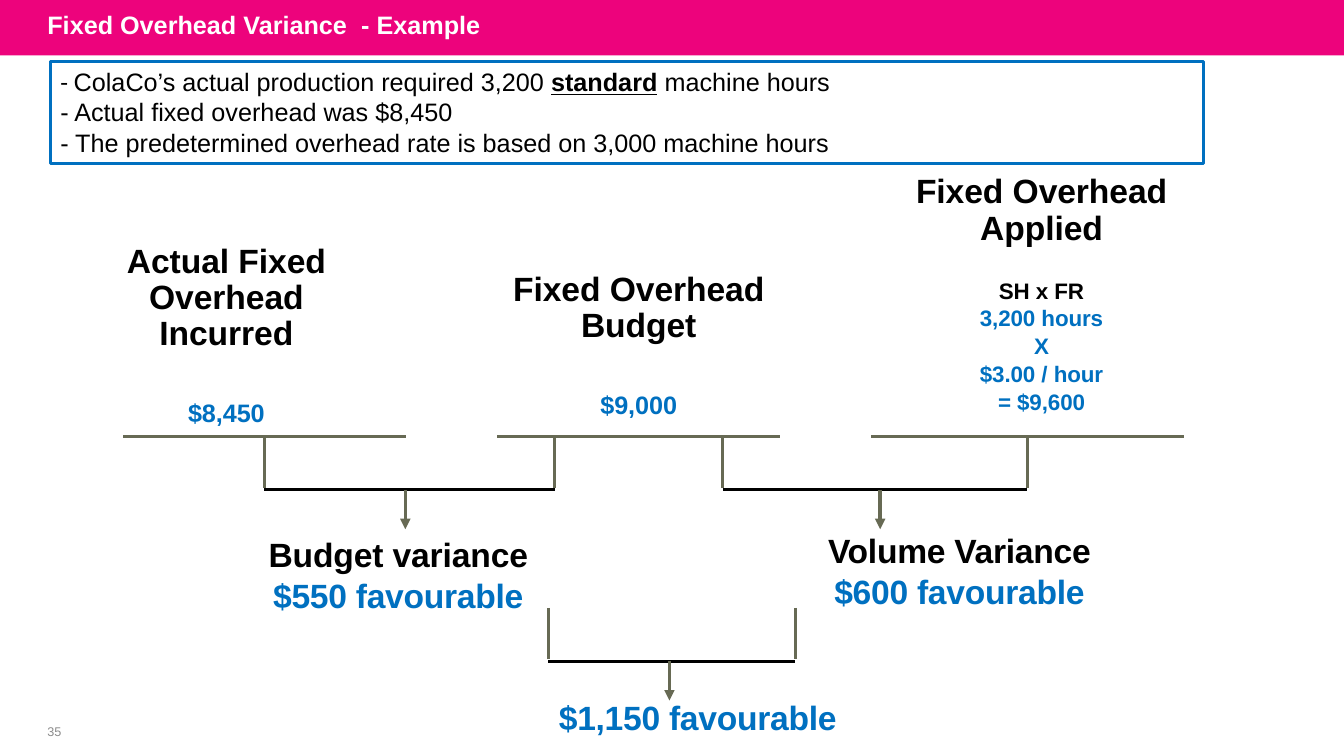
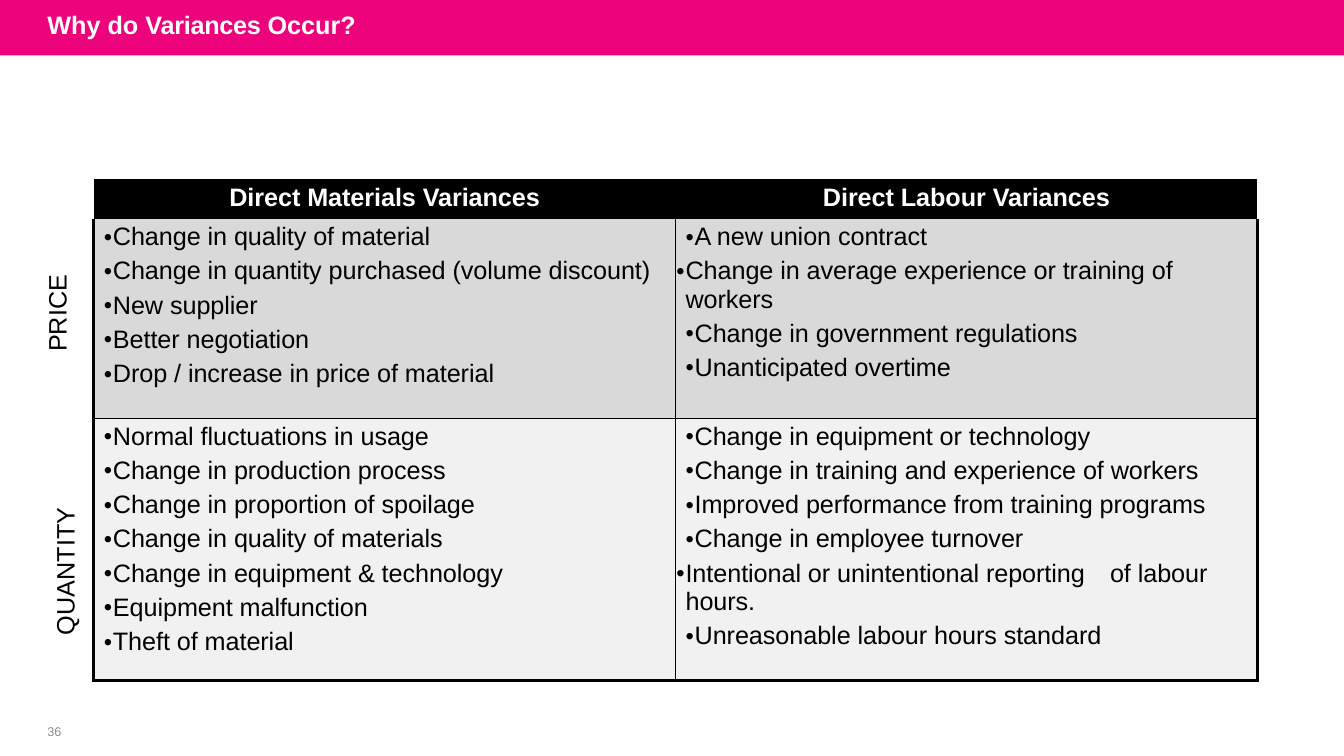
"""Build two slides on overhead variances: a worked example and a table of causes."""
from dataclasses import dataclass

from lxml.etree import SubElement
from pptx import Presentation
from pptx.dml.color import RGBColor
from pptx.enum.shapes import MSO_CONNECTOR as CONN, MSO_SHAPE as SHAPE
from pptx.enum.text import MSO_ANCHOR as ANCHOR, MSO_AUTO_SIZE as AUTO, PP_ALIGN as ALIGN
from pptx.oxml.ns import qn
from pptx.presentation import Presentation as Deck
from pptx.slide import Slide
from pptx.table import _Cell as Cell
from pptx.text.text import TextFrame, _Paragraph as Paragraph
from pptx.util import Inches, Pt


@dataclass(frozen=True)
class Theme:
    """Colours, fonts and type sizes of the deck."""
    pink: str = "ED037C"
    blue: str = "0070C0"
    olive: str = "676A54"
    black: str = "000000"
    white: str = "FFFFFF"
    number: str = "8C8C8C"
    price_fill: str = "D9D9D9"
    quantity_fill: str = "F1F1F1"
    font: str = "Arial"
    dash_font: str = "Calibri"
    heading: float = 24
    body: float = 18
    formula: float = 16
    small: float = 9
    line: float = 2.25
    arrow: float = 2.5
    thin: float = 1.25
    tight: float = -0.05
    tighter: float = -0.2


T = Theme()
NO_STYLE = "{2D5ABB26-0587-4C30-8999-92F81FD0307C}"


@dataclass(frozen=True)
class Run:
    """A stretch of text with one format."""
    text: str
    size: float = T.body
    color: str = T.black
    bold: bool = False
    underline: bool = False
    spacing: float = 0
    font: str = T.font


@dataclass(frozen=True)
class Para:
    """A paragraph with its runs and spacing in points."""
    runs: tuple[Run, ...]
    before: float = 0
    line: float | None = None
    align: ALIGN = ALIGN.LEFT


@dataclass(frozen=True)
class Box:
    """A rectangle in inches."""
    left: float
    top: float
    width: float
    height: float

    def emu(self) -> tuple[Inches, ...]:
        """Return the four lengths for python-pptx."""
        return tuple(Inches(v) for v in (self.left, self.top, self.width, self.height))


@dataclass(frozen=True)
class Label:
    """A text box with its paragraphs."""
    box: Box
    paras: tuple[Para, ...]


@dataclass(frozen=True)
class Joint:
    """A bar between two drops, with an arrow below."""
    left: float
    right: float
    bar: float
    arrow: float


@dataclass(frozen=True)
class Cause:
    """A bullet in the table, with its left margin in inches."""
    text: str
    margin: float = 0.19


def rgb(color: str) -> RGBColor:
    """Turn a hex string into a colour."""
    return RGBColor.from_string(color)


def add_run(p: Paragraph, run: Run) -> None:
    """Append a formatted run to a paragraph."""
    r = p.add_run()
    r.text = run.text
    r.font.name, r.font.size = run.font, Pt(run.size)
    r.font.bold, r.font.underline = run.bold, run.underline
    r.font.color.rgb = rgb(run.color)
    if run.spacing:
        r._r.get_or_add_rPr().set("spc", str(round(run.spacing * 100)))


def write(tf: TextFrame, paras: tuple[Para, ...]) -> None:
    """Fill a text frame with paragraphs."""
    tf.word_wrap, tf.auto_size = True, AUTO.NONE
    for i, para in enumerate(paras):
        p = tf.add_paragraph() if i else tf.paragraphs[0]
        p.alignment, p.space_before = para.align, Pt(para.before)
        if para.line:
            p.line_spacing = Pt(para.line)
        for run in para.runs:
            add_run(p, run)


def centred(text: str, size: float, color: str = T.black, before: float = 1,
            line: float | None = None, spacing: float = T.tight) -> Para:
    """Make a bold centred paragraph."""
    return Para((Run(text, size, color, bold=True, spacing=spacing),), before, line, ALIGN.CENTER)


def result(text: str, before: float = 0.5) -> Para:
    """Make a blue variance amount."""
    return centred(text, T.heading, T.blue, before, spacing=T.tighter)


def add_label(slide: Slide, label: Label, vertical: bool = False) -> TextFrame:
    """Add a text box without side margins."""
    tf = slide.shapes.add_textbox(*label.box.emu()).text_frame
    tf.margin_left = tf.margin_right = tf.margin_bottom = 0
    tf.margin_top = 0 if vertical else Inches(0.01)
    write(tf, label.paras)
    if vertical:
        tf._txBody.bodyPr.set("vert", "vert270")
    return tf


def add_line(slide: Slide, x1: float, y1: float, x2: float, y2: float,
             color: str, width: float, arrow: bool = False) -> None:
    """Add a straight line, with an arrowhead at its end if wanted."""
    cx = slide.shapes.add_connector(CONN.STRAIGHT, *(Inches(v) for v in (x1, y1, x2, y2)))
    cx.line.color.rgb, cx.line.width = rgb(color), Pt(width)
    if arrow:
        SubElement(cx.line._get_or_add_ln(), qn("a:tailEnd"), type="triangle")
    SubElement(cx._element.spPr, qn("a:effectLst"))


def add_joint(slide: Slide, j: Joint) -> None:
    """Draw a joining bar and its arrow."""
    add_line(slide, j.left, j.bar, j.right, j.bar, T.black, T.line)
    add_line(slide, j.arrow, j.bar, j.arrow, j.bar + 0.39, T.olive, T.arrow, arrow=True)


def add_rail(slide: Slide, top: float, drops: tuple[float, ...],
             rail: tuple[float, float] | None = None) -> None:
    """Draw drops as one outline, hung from a rail if there is one."""
    strokes = [((x, top), (x, top + 0.51)) for x in drops]
    if rail:
        strokes.insert(0, ((rail[0], top), (rail[1], top)))
    ends = [[(Inches(x), Inches(y)) for x, y in stroke] for stroke in strokes]
    builder = slide.shapes.build_freeform(*ends[0][0])
    for start, end in ends:
        builder.move_to(*start)
        builder.add_line_segments([end], close=False)
    sp = builder.convert_to_shape()
    sp.shadow.inherit = False
    sp.fill.background()
    sp.line.color.rgb, sp.line.width = rgb(T.olive), Pt(T.line)


def add_band(prs: Deck, slide: Slide) -> None:
    """Draw the title band and move it to the shared layout."""
    sp = slide.shapes.add_shape(SHAPE.RECTANGLE, 0, 0, prs.slide_width, Inches(0.55))
    sp.shadow.inherit = False
    sp.fill.solid()
    sp.fill.fore_color.rgb = rgb(T.pink)
    sp.line.fill.background()
    slide.slide_layout.shapes._spTree.insert(2, sp._element)


def new_slide(prs: Deck, number: int, title: tuple[Run, ...]) -> Slide:
    """Add a slide with its title and number."""
    slide = prs.slides.add_slide(prs.slide_layouts[5])
    ph = slide.shapes.title
    ph.left, ph.top, ph.width, ph.height = Box(0.37, -0.03, 10.5, 0.55).emu()
    ph.text_frame.vertical_anchor = ANCHOR.MIDDLE
    write(ph.text_frame, (Para(title),))
    page = Para((Run(str(number), T.small, T.number, spacing=T.tight),), align=ALIGN.CENTER)
    tf = add_label(slide, Label(Box(0.28, 7.13, 0.52, 0.24), (page,)))
    tf.vertical_anchor = ANCHOR.MIDDLE
    return slide


def title_run(text: str, spacing: float = 0) -> Run:
    """Make a white bold title run."""
    return Run(text, T.body, T.white, bold=True, spacing=spacing)


def example_slide(prs: Deck) -> Slide:
    """Build the fixed overhead variance example."""
    slide = new_slide(prs, 35, (title_run("Fixed Overhead Variance"), title_run(" ", 5),
                                title_run("- Example")))
    sp = slide.shapes.add_shape(SHAPE.RECTANGLE, *Box(0.5, 0.61, 11.44, 1.01).emu())
    sp.shadow.inherit = False
    sp.fill.background()
    sp.line.color.rgb, sp.line.width = rgb(T.blue), Pt(T.line)
    sp.text_frame.vertical_anchor = ANCHOR.TOP
    write(sp.text_frame, (
        Para((Run("- ", font=T.dash_font), Run("ColaCo’s actual production required 3,200 "),
              Run("standard", bold=True, underline=True), Run(" machine hours"))),
        Para((Run("- Actual fixed overhead was $8,450"),)),
        Para((Run("- The predetermined overhead rate is based on 3,000 machine hours"),)),
    ))
    exact, big = 25.9, T.heading
    labels = (
        Label(Box(1, 2.41, 2.49, 1.87), (
            centred("Actual Fixed Overhead Incurred", big, line=exact),
            centred("$8,450", T.body, T.blue, 27.3, exact))),
        Label(Box(5.07, 2.69, 2.53, 1.5), (
            centred("Fixed Overhead Budget", big, line=exact),
            centred("$9,000", T.body, T.blue, 27.3, exact))),
        Label(Box(8.87, 1.72, 2.92, 2.43), (
            centred("Fixed Overhead Applied", big, line=exact),
            centred("SH x FR", T.formula, before=21.3),
            *(centred(text, T.formula, T.blue, before) for text, before in (
                ("3,200 hours", 0.5), ("X", 0.5), ("$3.00 / hour", 1), ("= $9,600", 1))))),
        Label(Box(1.57, 5.29, 4.76, 1.12), (
            centred("Budget variance", big, spacing=-0.1), result("$550 favourable"))),
        Label(Box(7.74, 5.25, 3.55, 0.82), (
            centred("Volume Variance", big, spacing=T.tighter), result("$600 favourable"))),
        Label(Box(4.54, 6.9, 4.76, 0.42), (result("$1,150 favourable", 1),)),
    )
    for label in labels:
        add_label(slide, label)
    add_rail(slide, 4.33, (2.62,), (1.22, 4.03))
    add_rail(slide, 4.33, (5.5, 7.17), (4.93, 7.74))
    add_rail(slide, 4.33, (10.19,), (8.64, 11.74))
    add_rail(slide, 6.03, (5.44, 7.89))
    for joint in (Joint(2.62, 5.5, 4.86, 4.02), Joint(7.17, 10.19, 4.86, 8.73),
                  Joint(5.44, 7.89, 6.56, 6.64)):
        add_joint(slide, joint)
    return slide


def set_borders(cell: Cell, **widths: float) -> None:
    """Give a cell black borders, keyed by side L, R, T or B."""
    for side, width in widths.items():
        ln = SubElement(cell._tc.get_or_add_tcPr(), qn(f"a:ln{side}"), w=str(Pt(width)))
        SubElement(SubElement(ln, qn("a:solidFill")), qn("a:srgbClr"), val=T.black)


def set_bullet(p: Paragraph, margin: float) -> None:
    """Give a paragraph a hanging bullet and its tab stops."""
    pPr = p._p.get_or_add_pPr()
    pPr.set("marL", str(Inches(margin)))
    pPr.set("indent", str(Inches(-0.09)))
    SubElement(pPr, qn("a:buSzPct"), val="94000")
    SubElement(pPr, qn("a:buFont"), typeface=T.font)
    SubElement(pPr, qn("a:buChar"), char="•")
    tabs = SubElement(pPr, qn("a:tabLst"))
    for pos in (0.19, 4.31):
        SubElement(tabs, qn("a:tab"), pos=str(Inches(pos)), algn="l")


def fill_cell(cell: Cell, fill: str, paras: tuple[Para, ...]) -> None:
    """Set a cell's fill, margins and text."""
    cell.fill.solid()
    cell.fill.fore_color.rgb = rgb(fill)
    cell.margin_left = cell.margin_right = cell.margin_bottom = 0
    cell.margin_top = Inches(0.04)
    write(cell.text_frame, paras)


def causes_slide(prs: Deck) -> Slide:
    """Build the table of causes of variances."""
    slide = new_slide(prs, 36, (title_run("Why do "), title_run("Variances ", T.tighter),
                                title_run("Occur?")))
    headers = ("Direct Materials Variances", "Direct Labour Variances")
    price = (
        (Cause("Change in quality of material"),
         Cause("Change in quantity purchased (volume discount)"), Cause("New supplier"),
         Cause("Better negotiation"), Cause("Drop / increase in price of material")),
        (Cause("A new union contract"),
         Cause("Change in average experience or training of workers", 0.1),
         Cause("Change in government regulations"), Cause("Unanticipated overtime")))
    quantity = (
        (Cause("Normal fluctuations in usage"), Cause("Change in production process"),
         Cause("Change in proportion of spoilage"), Cause("Change in quality of materials"),
         Cause("Change in equipment & technology"), Cause("Equipment malfunction"),
         Cause("Theft of material")),
        (Cause("Change in equipment or technology"),
         Cause("Change in training and experience of workers"),
         Cause("Improved performance from training programs"), Cause("Change in employee turnover"),
         Cause("Intentional or unintentional reporting\tof labour hours.", 0.1),
         Cause("Unreasonable labour hours standard")))
    table = slide.shapes.add_table(3, 2, *Box(0.93, 1.78, 11.54, 4.97).emu()).table
    table._tbl.tblPr.find(qn("a:tableStyleId")).text = NO_STYLE
    table.first_row = table.horz_banding = False
    for row, height in zip(table.rows, (0.39, 1.98, 2.6)):
        row.height = Inches(height)
    for col, header in enumerate(headers):
        fill_cell(table.cell(0, col), T.black, (centred(header, T.body, T.white, 3.1),))
    for row, (fill, columns) in enumerate(((T.price_fill, price), (T.quantity_fill, quantity)), 1):
        for col, causes in enumerate(columns):
            cell = table.cell(row, col)
            edges = {"L": T.thin if col else T.line, "R": T.line if col else T.thin}
            edges |= {"T": T.thin, "B": T.line} if row == 2 else {"B": T.thin}
            set_borders(cell, **edges)
            fill_cell(cell, fill, tuple(Para((Run(c.text, spacing=T.tight),), 4.3 if i else 3.7)
                                        for i, c in enumerate(causes)))
            for p, cause in zip(cell.text_frame.paragraphs, causes):
                set_bullet(p, cause.margin)
    for text, box in (("QUANTITY", Box(0.5, 5, 0.31, 1.3)), ("PRICE", Box(0.42, 2.7, 0.31, 0.79))):
        add_label(slide, Label(box, (Para((Run(text),), line=20.9),)), vertical=True)
    return slide


def main() -> None:
    """Build and save the deck."""
    prs = Presentation()
    prs.slide_width, prs.slide_height = Inches(13.33), Inches(7.5)
    add_band(prs, example_slide(prs))
    causes_slide(prs)
    prs.save("out.pptx")


if __name__ == "__main__":
    main()
